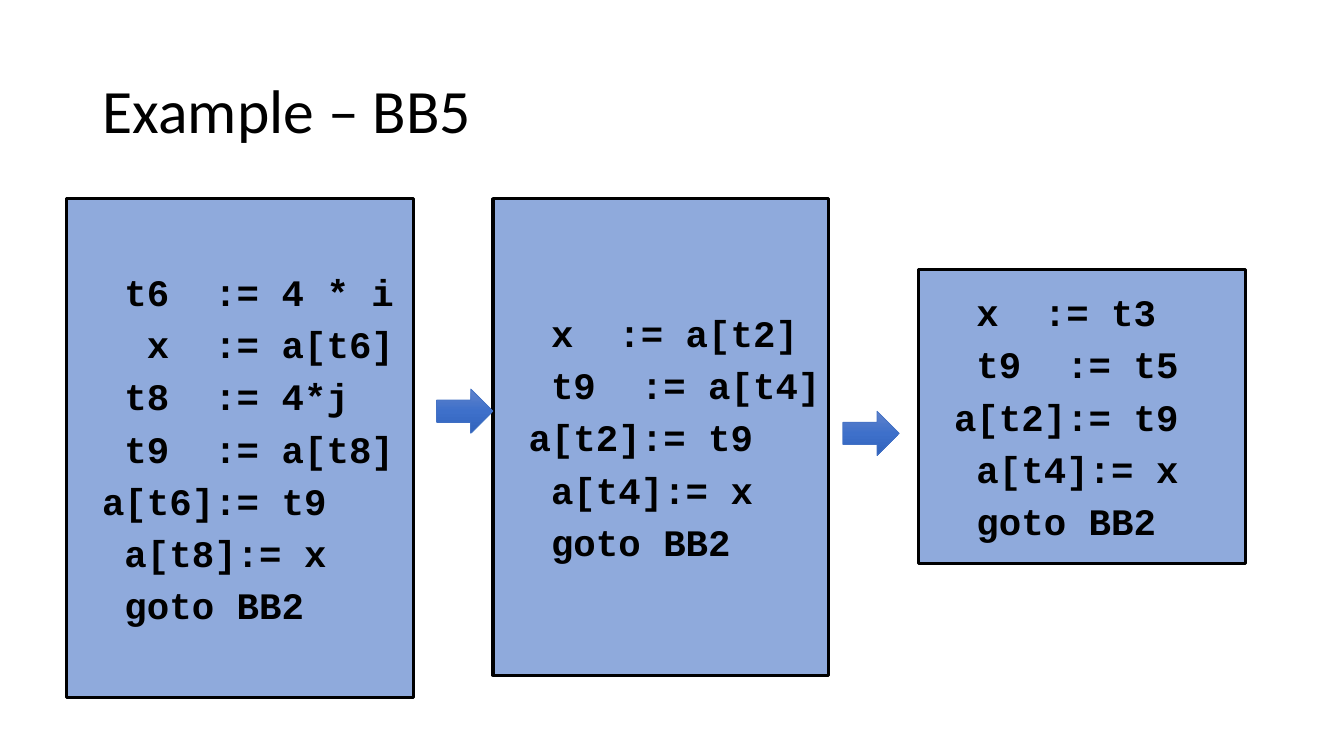
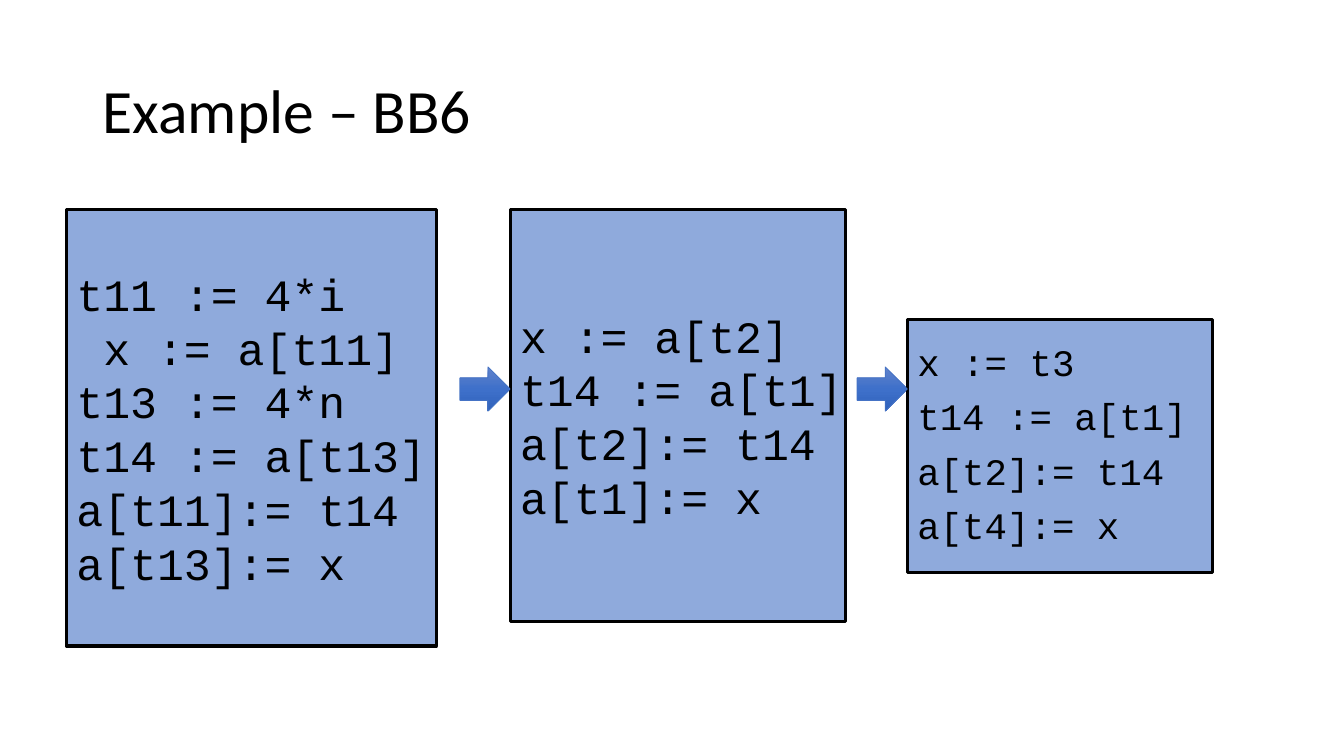
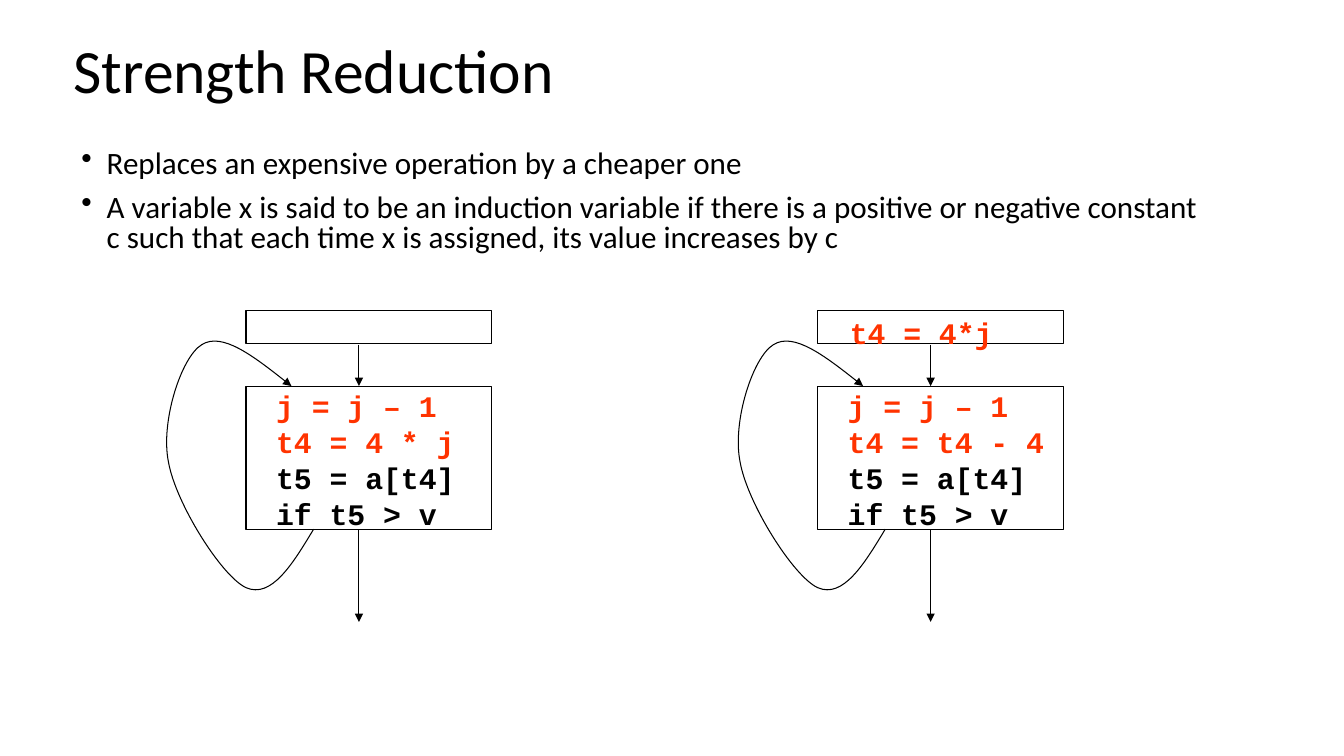
"""Build three slides on basic-block optimisation and strength reduction."""
import copy
import dataclasses

import pptx
import pptx.dml.color
import pptx.enum.dml
import pptx.enum.shapes
import pptx.enum.text
import pptx.oxml
import pptx.oxml.ns
import pptx.util

Inches = pptx.util.Inches
Pt = pptx.util.Pt
Anchor = pptx.enum.text.MSO_ANCHOR
Shape = pptx.enum.shapes.MSO_SHAPE
qn = pptx.oxml.ns.qn


@dataclasses.dataclass(frozen=True)
class Theme:
    ink: str = "000000"
    block: str = "8FAADC"
    accent: str = "FF3300"
    arrow_line: str = "4472C4"
    arrow_stops: tuple = ((0, "6183CB"), (0.5, "3E70CA"), (1, "3062BB"))
    body_font: str = "Calibri"
    code_font: str = "Courier New"
    title_size: float = 44
    body_size: float = 22.2
    large_code: float = 32
    code_size: float = 26.7
    small_code: float = 21.3
    block_line: float = 2.25
    thin_line: float = 0.75
    arrow_edge: float = 0.5


THEME = Theme()

SPACED_CODE = dict(size=THEME.code_size, bold=True, hang=0.5, before=5.34,
                   insets=(0.13, 0.07))
LARGE_CODE = dict(size=THEME.large_code)
TIGHT_CODE = dict(size=THEME.code_size, hang=0.25, before=10, spacing=0.9)

EXAMPLES = [
    {
        "title": "Example – BB5",
        "blocks": [
            ((0.66, 1.97, 3.44, 4.95), SPACED_CODE,
             ["  t6  := 4 * i", "   x  := a[t6]", "  t8  := 4*j", "  t9  := a[t8]",
              " a[t6]:= t9", "  a[t8]:= x", "  goto BB2"]),
            ((4.89, 1.97, 3.33, 4.73), SPACED_CODE,
             ["  x  := a[t2]", "  t9  := a[t4]", " a[t2]:= t9", "  a[t4]:= x",
              "  goto BB2"]),
            ((9.11, 2.67, 3.24, 2.92), SPACED_CODE,
             ["  x  := t3", "  t9  := t5", " a[t2]:= t9", "  a[t4]:= x",
              "  goto BB2"]),
        ],
        "arrows": [(4.33, 3.86, 0.56, 0.44), (8.36, 4.08, 0.56, 0.44)],
    },
    {
        "title": "Example – BB6",
        "blocks": [
            ((0.66, 2.08, 3.67, 4.33), LARGE_CODE,
             ["t11 := 4*i", " x := a[t11]", "t13 := 4*n", "t14 := a[t13]",
              "a[t11]:= t14", "a[t13]:= x"]),
            ((5.06, 2.08, 3.33, 4.09), LARGE_CODE,
             ["x := a[t2]", "t14 := a[t1]", "a[t2]:= t14", "a[t1]:= x"]),
            ((9, 3.17, 3.03, 2.51), TIGHT_CODE,
             ["x := t3", "t14 := a[t1]", "a[t2]:= t14", "a[t4]:= x"]),
        ],
        "arrows": [(4.56, 3.64, 0.5, 0.44), (8.5, 3.64, 0.5, 0.44)],
    },
]

REDUCTION_TITLE = "Strength Reduction"
REDUCTION_POINTS = [
    "Replaces an expensive operation by a cheaper one",
    "A variable x is said to be an induction variable if there is a positive or "
    "negative constant c such that each time x is assigned, its value increases by c",
]
LOOPS = [
    {"left": 2.44, "width": 2.13, "header": None, "update": "t4 = 4 * j"},
    {"left": 8.11, "width": 2.47, "header": "t4 = 4*j", "update": "t4 = t4 - 4"},
]
BACK_EDGE = [
    (0.67, 5.25), (0.46, 5.6), (0.25, 5.94), (0, 5.83), (-0.24, 5.72),
    (-0.7, 4.99), (-0.77, 4.58), (-0.85, 4.18), (-0.64, 3.54), (-0.44, 3.42),
    (-0.24, 3.29), (0.11, 3.56), (0.45, 3.83),
]


def color(value):
    return pptx.dml.color.RGBColor.from_string(value)


def inches(values):
    return [Inches(value) for value in values]


def write_text(box, lines, *, size, font=THEME.code_font, bold=False, anchor=Anchor.MIDDLE,
               wrap=False, hang=0, before=0, spacing=None, bullet=None,
               insets=(0.1, 0.05)):
    frame = box.text_frame
    frame.word_wrap = wrap
    frame.vertical_anchor = anchor
    frame.margin_left = frame.margin_right = Inches(insets[0])
    frame.margin_top = frame.margin_bottom = Inches(insets[1])
    for index, line in enumerate(lines):
        text, ink = line if isinstance(line, tuple) else (line, THEME.ink)
        para = frame.add_paragraph() if index else frame.paragraphs[0]
        para.alignment = pptx.enum.text.PP_ALIGN.LEFT
        para.space_before = Pt(before if index else 0)
        if spacing:
            para.line_spacing = spacing
        properties = para._p.get_or_add_pPr()
        if hang:
            properties.set("marL", str(Inches(hang)))
            properties.set("indent", str(-Inches(hang)))
        if bullet:
            mark = properties.makeelement(qn("a:buChar"), {"char": bullet})
            properties.append(mark)
        span = para.add_run()
        span.text = text
        span.font.name = font
        span.font.size = Pt(size)
        span.font.bold = bold
        span.font.color.rgb = color(ink)


def add_text(page, place, lines, **style):
    box = page.shapes.add_textbox(*inches(place))
    write_text(box, lines, **style)
    return box


def add_page(deck, title, left=0.92, top=0.4):
    page = deck.slides.add_slide(deck.slide_layouts[6])
    add_text(page, (left, top, 11.5, 1.45), [title], size=THEME.title_size,
             font=THEME.body_font, wrap=True, spacing=0.9)
    return page


def set_line(item, width, ink=THEME.ink):
    item.line.color.rgb = color(ink)
    item.line.width = Pt(width)


def add_box(page, place, width, fill=None, kind=Shape.RECTANGLE):
    box = page.shapes.add_shape(kind, *inches(place))
    box.shadow.inherit = False
    set_line(box, width)
    if fill:
        box.fill.solid()
        box.fill.fore_color.rgb = color(fill)
    else:
        box.fill.background()
    return box


def add_block_arrow(page, place):
    arrow = add_box(page, place, THEME.arrow_edge, kind=Shape.RIGHT_ARROW)
    set_line(arrow, THEME.arrow_edge, THEME.arrow_line)
    arrow.fill.gradient()
    arrow.fill.gradient_angle = 270
    stops = arrow._element.spPr.find(qn("a:gradFill")).find(qn("a:gsLst"))
    stops.insert(1, copy.deepcopy(stops[0]))
    for stop, (position, shade) in zip(arrow.fill.gradient_stops, THEME.arrow_stops):
        stop.position = position
        stop.color.rgb = color(shade)


def add_arrowhead(item):
    outline = item.line._get_or_add_ln()
    outline.append(outline.makeelement(qn("a:tailEnd"), {"type": "triangle"}))


def add_down_arrow(page, x, top, bottom):
    link = page.shapes.add_connector(pptx.enum.shapes.MSO_CONNECTOR.STRAIGHT,
                                     *inches((x, top, x, bottom)))
    set_line(link, THEME.thin_line)
    add_arrowhead(link)
    properties = link._element.spPr
    properties.append(properties.makeelement(qn("a:effectLst"), {}))


def add_curve(page, points):
    start, *rest = [tuple(inches(point)) for point in points]
    builder = page.shapes.build_freeform(*start)
    builder.add_line_segments(rest, close=False)
    curve = builder.convert_to_shape()
    curve.shadow.inherit = False
    curve.fill.background()
    set_line(curve, THEME.thin_line)
    add_arrowhead(curve)
    segments = list(curve._element.iter(qn("a:lnTo")))
    for first in range(0, len(segments), 3):
        group = segments[first:first + 3]
        outline = group[0].getparent()
        bezier = outline.makeelement(qn("a:cubicBezTo"), {})
        outline.insert(outline.index(group[0]), bezier)
        for segment in group:
            bezier.append(segment[0])
            outline.remove(segment)


def add_example(deck, example):
    page = add_page(deck, example["title"])
    for place, style, lines in example["blocks"]:
        box = add_box(page, place, THEME.block_line, THEME.block)
        write_text(box, lines, **style)
    for place in example["arrows"]:
        add_block_arrow(page, place)


def add_loop(page, loop):
    left = loop["left"]
    code = dict(size=THEME.small_code, bold=True, anchor=Anchor.TOP)
    for top, height in ((3.08, 0.33), (3.83, 1.42)):
        add_box(page, (left, top, 2.44, height), THEME.thin_line)
    add_text(page, (left + 0.2, 3.8, loop["width"], 1.54),
             [("j = j – 1", THEME.accent), (loop["update"], THEME.accent),
              "t5 = a[t4]", "if t5 > v"], wrap=True, **code)
    for top, bottom in ((5.25, 6.17), (3.42, 3.83)):
        add_down_arrow(page, left + 1.12, top, bottom)
    add_curve(page, [(left + x, y) for x, y in BACK_EDGE])
    if loop["header"]:
        add_text(page, (left + 0.22, 3.07, 1.63, 0.46),
                 [(loop["header"], THEME.accent)], **code)


def main():
    deck = pptx.Presentation()
    deck.slide_width, deck.slide_height = inches((13.33, 7.5))
    for example in EXAMPLES:
        add_example(deck, example)
    page = add_page(deck, REDUCTION_TITLE, left=0.63, top=0)
    add_text(page, (0.71, 1.45, 11.42, 1.14), REDUCTION_POINTS, size=THEME.body_size,
             font=THEME.body_font, anchor=Anchor.TOP, wrap=True, hang=0.25, before=10,
             spacing=0.8, bullet="•")
    for loop in LOOPS:
        add_loop(page, loop)
    deck.save("out.pptx")


if __name__ == "__main__":
    main()
